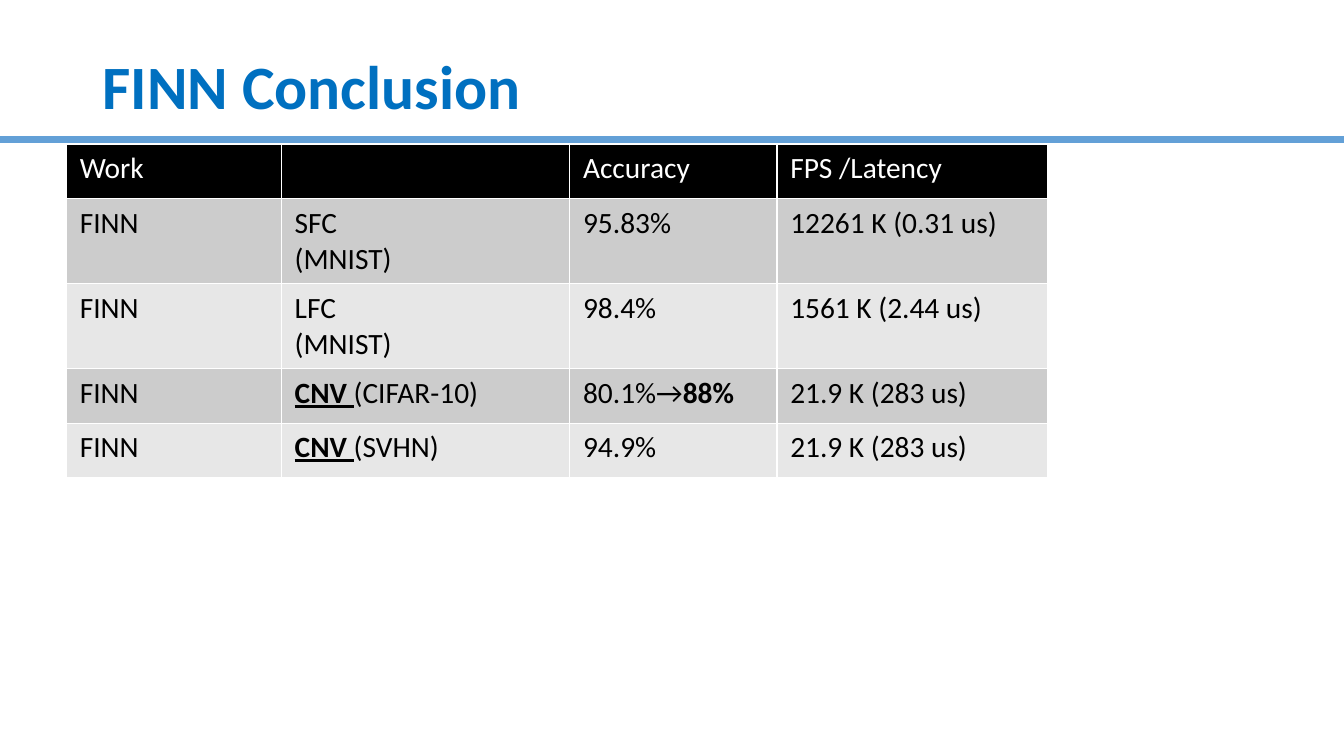
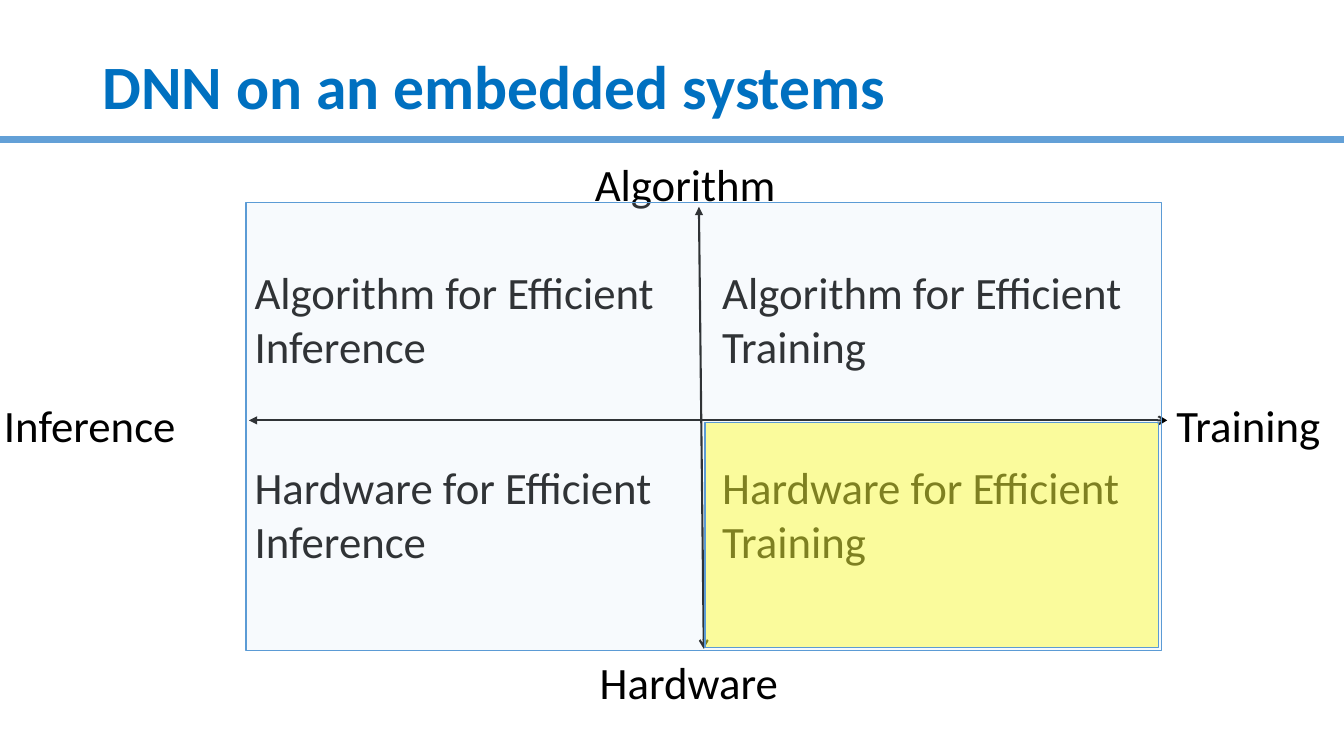
from lxml import etree
from pptx import Presentation
from pptx.dml.color import RGBColor
from pptx.enum import shapes, text
from pptx.oxml import ns
from pptx.util import Pt

WIDE, HIGH = 960, 540
FONT = "Calibri"
BLACK, WHITE = "000000", "FFFFFF"
TITLE, RULE, EDGE = "0070C0", "63A0D7", "5B9BD5"
BANDS = ["CCCCCC", "E7E7E7"]
COLS = [153.5, 206, 148, 193]
ROWS = [
    ["Work", "", "Accuracy", "FPS /Latency"],
    ["FINN", "SFC\n(MNIST)", "95.83%", "12261 K (0.31 us)"],
    ["FINN", "LFC\n(MNIST)", "98.4%", "1561 K (2.44 us)"],
    ["FINN", "CNV (CIFAR-10)", "80.1%→88%", "21.9 K (283 us)"],
    ["FINN", "CNV (SVHN)", "94.9%", "21.9 K (283 us)"],
]
MARKS = {
    "CNV (CIFAR-10)": {"mark": "CNV ", "under": True},
    "CNV (SVHN)": {"mark": "CNV ", "under": True},
    "80.1%→88%": {"mark": "88%"},
}


def hue(code):
    """Turn a hex string into a colour."""
    return RGBColor.from_string(code)


def node(parent, tag, **attrs):
    """Append a drawing element to a parent."""
    return etree.SubElement(parent, ns.qn("a:" + tag), attrs)


def write(frame, words, size=32, color=BLACK, bold=False, mark="", under=False, space=None):
    """Fill a frame with one paragraph per line, with a marked part in bold."""
    for i, line in enumerate(words.split("\n")):
        para = frame.add_paragraph() if i else frame.paragraphs[0]
        para.alignment = text.PP_ALIGN.LEFT
        if space:
            para.line_spacing = space
        parts = line.partition(mark) if mark else (line,)
        for part in filter(None, parts):
            run = para.add_run()
            run.text = part
            font = run.font
            font.name, font.size = FONT, Pt(size)
            font.color.rgb = hue(color)
            font.bold = bold or part == mark
            font.underline = under and part == mark


def label(slide, words, x, y, w, h):
    """Place a text box."""
    frame = slide.shapes.add_textbox(Pt(x), Pt(y), Pt(w), Pt(h)).text_frame
    frame.word_wrap = True
    write(frame, words)


def stroke(slide, x1, y1, x2, y2, color, width, arrows=False):
    """Draw a straight line, with arrowheads on request."""
    line = slide.shapes.add_connector(
        shapes.MSO_CONNECTOR.STRAIGHT, Pt(x1), Pt(y1), Pt(x2), Pt(y2))
    line.line.color.rgb = hue(color)
    line.line.width = Pt(width)
    props = line._element.spPr
    if arrows:
        edge = props.find(ns.qn("a:ln"))
        node(edge, "headEnd", type="triangle")
        node(edge, "tailEnd", type="arrow")
    node(props, "effectLst")


def veil(slide, x, y, w, h, color, alpha):
    """Lay a see-through rectangle over an area."""
    rect = slide.shapes.add_shape(
        shapes.MSO_SHAPE.RECTANGLE, Pt(x), Pt(y), Pt(w), Pt(h))
    rect.shadow.inherit = False
    rect.fill.solid()
    rect.fill.fore_color.rgb = hue(color)
    tint = rect._element.spPr.find(ns.qn("a:solidFill"))[0]
    node(tint, "alpha", val=str(alpha * 1000))
    rect.line.color.rgb = hue(EDGE)
    rect.line.width = Pt(1)


def page(deck, words):
    """Add a slide with its title and the rule below it."""
    slide = deck.slides.add_slide(deck.slide_layouts[5])
    stroke(slide, WIDE, 99.5, 0, 99.5, RULE, 5)
    title = slide.shapes.title
    title.left, title.top = Pt(66), Pt(28.75)
    title.width, title.height = Pt(828), Pt(70.5)
    frame = title.text_frame
    frame.auto_size = text.MSO_AUTO_SIZE.NONE
    frame.vertical_anchor = text.MSO_ANCHOR.MIDDLE
    write(frame, words, size=44, color=TITLE, bold=True, space=0.9)
    return slide


def border(cell):
    """Give a cell thin white borders."""
    props = cell._tc.get_or_add_tcPr()
    for i, side in enumerate(["lnL", "lnR", "lnT", "lnB"]):
        edge = etree.Element(ns.qn("a:" + side), {"w": str(Pt(1))})
        node(node(edge, "solidFill"), "srgbClr", val=WHITE)
        props.insert(i, edge)


def results(slide, x, y):
    """Draw the table of results from its top left corner."""
    heights = [60.5 if any("\n" in c for c in row) else 38.75 for row in ROWS]
    table = slide.shapes.add_table(
        len(ROWS), len(COLS), Pt(x), Pt(y), Pt(sum(COLS)), Pt(sum(heights))).table
    for col, width in zip(table.columns, COLS):
        col.width = Pt(width)
    for r, row in enumerate(ROWS):
        table.rows[r].height = Pt(heights[r])
        for c, words in enumerate(row):
            cell = table.cell(r, c)
            cell.margin_left = cell.margin_right = Pt(9.5)
            cell.margin_top = cell.margin_bottom = Pt(4.75)
            cell.fill.solid()
            cell.fill.fore_color.rgb = hue(BANDS[(r - 1) % 2] if r else BLACK)
            border(cell)
            write(cell.text_frame, words, size=21,
                  color=BLACK if r else WHITE, **MARKS.get(words, {}))


def matrix(slide, x, y, w, h):
    """Draw the four fields, their axes and the highlight in a box."""
    mid, axis = x + w / 2, y + 155.5
    stroke(slide, x + 2, axis, x + w + 4, axis, BLACK, 1.5, arrows=True)
    stroke(slide, mid - 3.5, y + 3, mid, y + h - 1, BLACK, 1.5, arrows=True)
    label(slide, "Inference", x - 180, axis - 20, 182, 40)
    label(slide, "Training", x + w + 3.5, axis - 19.5, 127, 40)
    label(slide, "Algorithm", mid - 85, y - 36.5, 157, 40)
    label(slide, "Hardware", mid - 81.5, y + h - 0.5, 157, 40)
    for top, kind in [(y + 41, "Algorithm"), (y + 180, "Hardware")]:
        for left, goal in [(x - 1, "Inference"), (mid + 6, "Training")]:
            label(slide, f"{kind} for Efficient\n{goal}", left, top, 319, 95)
    veil(slide, x, y, w, h, "DEEBF7", 22)
    veil(slide, mid + 0.75, axis + 1.5, w / 2 - 3, h - 159, "FFFF00", 38)


def main():
    """Build and save the deck."""
    deck = Presentation()
    deck.slide_width, deck.slide_height = Pt(WIDE), Pt(HIGH)
    results(page(deck, "FINN Conclusion"), 47.5, 103)
    matrix(page(deck, "DNN on an embedded systems"), 175.75, 144.75, 654, 319.75)
    deck.save("out.pptx")


if __name__ == "__main__":
    main()
